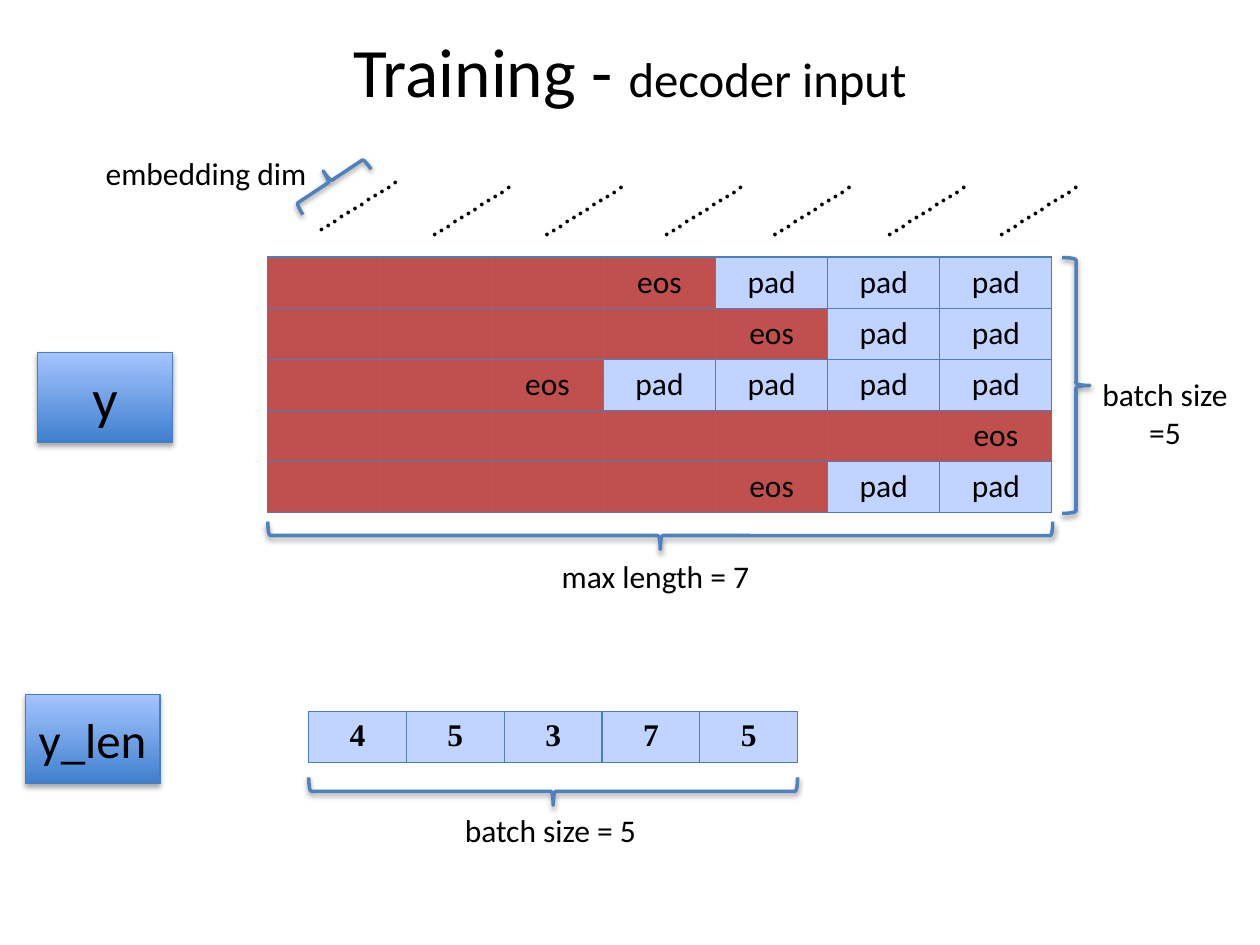
import pptx
import pptx.util
import pptx.dml.color
import pptx.enum.shapes
import pptx.enum.text
import pptx.oxml
import pptx.oxml.ns
import lxml.etree

Inch = pptx.util.Inches
Point = pptx.util.Pt
Shape = pptx.enum.shapes.MSO_SHAPE
Align = pptx.enum.text.PP_ALIGN
Fit = pptx.enum.text.MSO_AUTO_SIZE
Middle = pptx.enum.text.MSO_ANCHOR.MIDDLE
qn = pptx.oxml.ns.qn

THEME = dict(
    font="Calibri", digit="Times New Roman",
    ink="000000", red="C0504D", pale="C0D4FF", edge="4B7EBC",
    brace="4F81BD", low="3F80CE", high="A4C4FF",
    head=39.6, sub=27.9, body=18, thin=0.75, thick=2,
)

TITLE = [("Training - ", THEME["head"]), ("decoder input", THEME["sub"])]
LENS = [4, 5, 3, 7, 5]
MAX = 7
# left, top, column width, row height
BATCH = (2.12, 2.04, 0.89, 0.406)
COUNTS = (2.45, 5.65, 0.776, 0.4)
# label, size, left, top
BOXES = [("y", 32, 0.3, 2.8), ("y_len", 28, 0.2, 5.51)]
# middle x, middle y, width, length, turn
BRACES = [
    (8.54, 3.06, 0.22, 2.03, 0),
    (5.24, 4.25, 0.22, 6.23, 90),
    (2.62, 1.44, 0.2, 0.65, 236.4),
    (4.39, 6.28, 0.22, 3.88, 90),
]
# lines, place, wrap
LABELS = [
    (["batch size", "=5"], (8.65, 2.93, 1.22, 0.71), False),
    (["max length = 7"], (4.36, 4.37, 1.71, 0.4), False),
    (["embedding dim"], (0.74, 1.17, 1.81, 0.4), False),
    (["batch size = 5"], (3.59, 6.39, 1.71, 0.4), True),
]
DOTS = [(2.32, 1.36)] + [(x, 1.4) for x in (3.22, 4.11, 5.06, 5.92, 6.83, 7.72)]


def color(name):
    """Give a theme colour."""
    return pptx.dml.color.RGBColor.from_string(THEME[name])


def apply(item, **values):
    """Set each named attribute on an item."""
    for name, value in values.items():
        setattr(item, name, value)


def write(para, text, size=THEME["body"], font="font", bold=False):
    """Add a formatted run to a paragraph."""
    run = para.add_run()
    run.text = text
    apply(run.font, size=Point(size), name=THEME[font], bold=bold)
    run.font.color.rgb = color("ink")


def label(slide, lines, place, wrap=True, turn=0):
    """Add a text box with one paragraph for each line."""
    box = slide.shapes.add_textbox(*map(Inch, place))
    box.rotation = turn
    frame = box.text_frame
    apply(frame, word_wrap=wrap, auto_size=Fit.SHAPE_TO_FIT_TEXT)
    for i, line in enumerate(lines):
        para = frame.add_paragraph() if i else frame.paragraphs[0]
        para.alignment = Align.CENTER if i else Align.LEFT
        write(para, line)


def shade(shape, alpha, dist):
    """Give a shape a soft shadow below it."""
    shape.shadow.inherit = False
    effects = shape._element.spPr.find(qn("a:effectLst"))
    shadow = lxml.etree.SubElement(
        effects, qn("a:outerShdw"), blurRad=str(Point(3.1)),
        dist=str(Point(dist)), dir="5400000", rotWithShape="0")
    tone = lxml.etree.SubElement(shadow, qn("a:srgbClr"), val=THEME["ink"])
    lxml.etree.SubElement(tone, qn("a:alpha"), val=str(alpha * 1000))


def brace(slide, x, y, wide, long, turn):
    """Add a brace around its middle point."""
    place = (x - wide / 2, y - long / 2, wide, long)
    shape = slide.shapes.add_shape(Shape.RIGHT_BRACE, *map(Inch, place))
    shape.rotation = turn
    shape.fill.background()
    shape.line.color.rgb = color("brace")
    shape.line.width = Point(THEME["thick"])
    shade(shape, 38, 1.6)


def block(slide, text, size, left, top):
    """Add a labelled gradient box."""
    place = (left, top, 1.07, 0.71)
    shape = slide.shapes.add_shape(Shape.RECTANGLE, *map(Inch, place))
    shape.fill.gradient()
    shape.fill.gradient_angle = 90
    for stop, pos, name in zip(shape.fill.gradient_stops, (0, 1), ("low", "high")):
        stop.position = pos
        stop.color.rgb = color(name)
    shape.line.color.rgb = color("edge")
    shape.line.width = Point(THEME["thin"])
    shade(shape, 35, 1.8)
    frame = shape.text_frame
    apply(frame, word_wrap=False, vertical_anchor=Middle)
    para = frame.paragraphs[0]
    para.alignment = Align.CENTER
    write(para, text, size)


def border(cell):
    """Draw all four edges of a cell."""
    props = cell._tc.get_or_add_tcPr()
    for i, side in enumerate(("lnL", "lnR", "lnT", "lnB")):
        line = lxml.etree.Element(qn("a:" + side), w=str(Point(THEME["thin"])))
        fill = lxml.etree.SubElement(line, qn("a:solidFill"))
        lxml.etree.SubElement(fill, qn("a:srgbClr"), val=THEME["edge"])
        props.insert(i, line)


def grid(slide, rows, place, **style):
    """Add a table from rows of (text, fill) pairs."""
    left, top, wide, high = place
    count, cols = len(rows), len(rows[0])
    table = slide.shapes.add_table(
        count, cols, *map(Inch, (left, top, wide * cols, high * count))).table
    apply(table, first_row=False, horz_banding=False)
    for r, row in enumerate(rows):
        for c, (text, fill) in enumerate(row):
            cell = table.cell(r, c)
            cell.fill.solid()
            cell.fill.fore_color.rgb = color(fill)
            border(cell)
            if text:
                para = cell.text_frame.paragraphs[0]
                para.alignment = Align.CENTER
                write(para, text, **style)


def token(step, size):
    """Give the text and fill of one step in a sequence."""
    if step > size:
        return "pad", "pale"
    return "eos" if step == size else "", "red"


deck = pptx.Presentation()
apply(deck, slide_width=Inch(10), slide_height=Inch(7.5))
slide = deck.slides.add_slide(deck.slide_layouts[5])

title = slide.shapes.title
apply(title, left=Inch(0.5), top=Inch(0.3), width=Inch(9), height=Inch(0.5))
apply(title.text_frame, vertical_anchor=Middle, auto_size=Fit.NONE)
title.text_frame.paragraphs[0].alignment = Align.CENTER
for text, size in TITLE:
    write(title.text_frame.paragraphs[0], text, size)

grid(slide, [[token(s, n) for s in range(1, MAX + 1)] for n in LENS], BATCH)
grid(slide, [[(str(n), "pale") for n in LENS]], COUNTS, font="digit", bold=True)
for item in BOXES:
    block(slide, *item)
for item in BRACES:
    brace(slide, *item)
for item in LABELS:
    label(slide, *item)
for left, top in DOTS:
    label(slide, ["." * 12], (left, top, 0.98, 0.4), turn=327.6)

deck.save("out.pptx")
